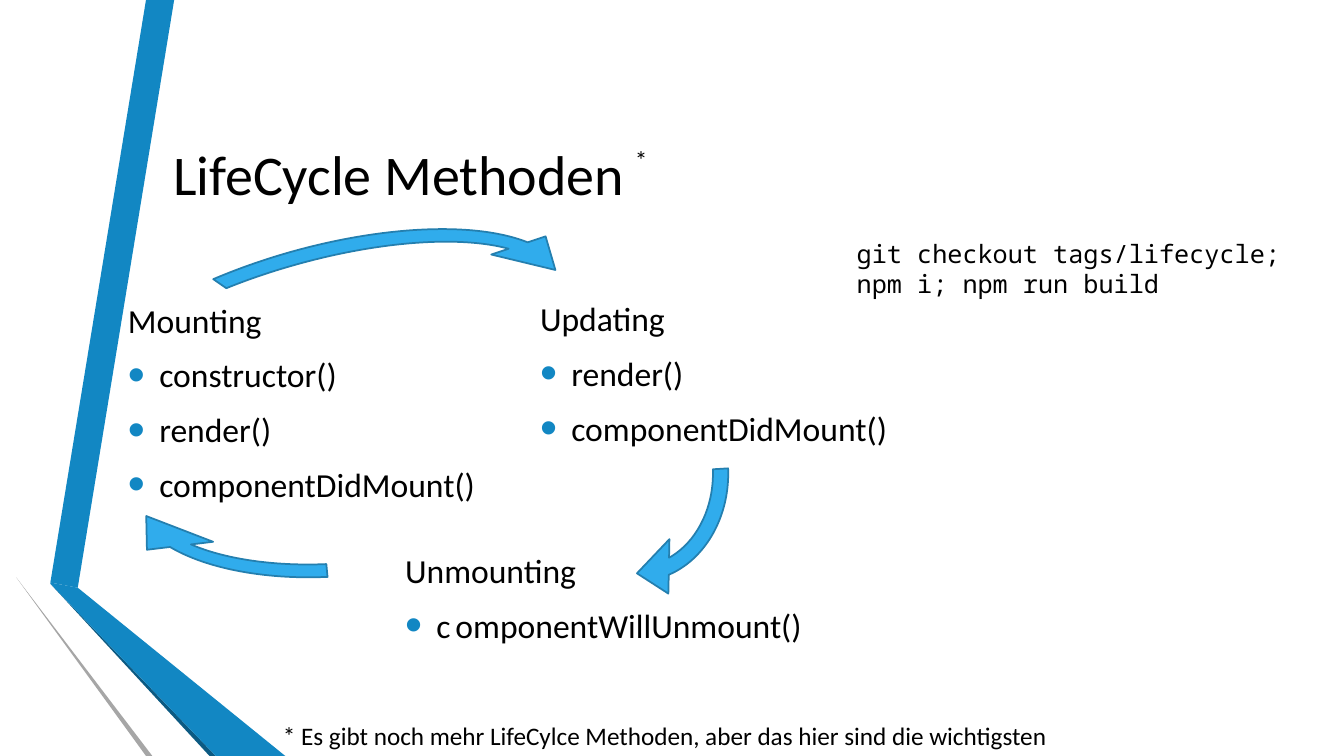
from dataclasses import dataclass

from lxml.etree import SubElement
from pptx import Presentation
from pptx.dml.color import RGBColor
from pptx.enum.shapes import MSO_SHAPE as Shape
from pptx.enum.text import MSO_ANCHOR as Anchor, MSO_AUTO_SIZE as AutoSize, PP_ALIGN as Align
from pptx.oxml.ns import qn
from pptx.util import Cm, Pt

BLACK, BLUE, NAVY, GREY = "000000", "1287C3", "0C5A82", "A6A6A6"
ARROW_FILL, ARROW_LINE = "30ACEC", "247FAF"
BODY_FONT, CODE_FONT = "Calibri", "Noto Sans Mono"


@dataclass
class Box:
    """A rectangle in centimetres."""
    left: float
    top: float
    width: float
    height: float

    def inner(self, left, top, width, height):
        return Box(self.left + left, self.top + top, width, height)

    def lengths(self):
        return Cm(self.left), Cm(self.top), Cm(self.width), Cm(self.height)


def color(value):
    return RGBColor.from_string(value)


def move(shape, box):
    shape.left, shape.top, shape.width, shape.height = box.lengths()


def format_runs(para, size, font=BODY_FONT):
    for span in para.runs:
        span.font.size = Pt(size)
        span.font.name = font
        span.font.color.rgb = color(BLACK)


def set_marker(para, bulleted):
    """Give the paragraph a round blue bullet, or none and no indent."""
    props = para._p.get_or_add_pPr()
    indent = Cm(0.79) if bulleted else 0
    props.set("marL", str(indent))
    props.set("indent", str(-indent))
    if not bulleted:
        SubElement(props, qn("a:buNone"))
        return
    tint = SubElement(props, qn("a:buClr"))
    SubElement(tint, qn("a:srgbClr"), val=BLUE)
    SubElement(props, qn("a:buSzPct"), val="145000")
    SubElement(props, qn("a:buFont"), typeface="Arial")
    SubElement(props, qn("a:buChar"), char="•")


def draw_ribbon(slide, box):
    """Draw the folded ribbon on the left edge, behind the text."""
    pieces = [
        (BLUE, [(0.86, 14.68), (1.55, 14.81), (3.98, 0), (3.27, 0)]),
        (GREY, [(0, 14.55), (3.27, 19.05), (3.43, 19.05)]),
        (NAVY, [(0.86, 14.71), (4.87, 19.05), (5.03, 19.05)]),
        (BLUE, [(0.86, 14.71), (5.03, 19.05), (6.78, 19.05), (1.55, 14.81), (0.86, 14.68)]),
    ]
    for index, (fill, corners) in enumerate(pieces):
        points = [(Cm(box.left + x), Cm(box.top + y)) for x, y in corners]
        builder = slide.shapes.build_freeform(*points[0])
        builder.add_line_segments(points[1:])
        piece = builder.convert_to_shape()
        piece.shadow.inherit = False
        piece.fill.solid()
        piece.fill.fore_color.rgb = color(fill)
        piece.line.fill.background()
        slide.shapes._spTree.insert(2 + index, piece._element)


def add_text(slide, box, text, font=BODY_FONT):
    shape = slide.shapes.add_textbox(*box.lengths())
    frame = shape.text_frame
    frame.word_wrap = True
    frame.text = text
    format_runs(frame.paragraphs[0], 18, font)


def place_title(slide, box):
    title = slide.shapes.title
    move(title, box)
    frame = title.text_frame
    frame.text = "LifeCycle Methoden"
    frame.auto_size = AutoSize.NONE
    frame.vertical_anchor = Anchor.MIDDLE
    para = frame.paragraphs[0]
    para.alignment = Align.LEFT
    format_runs(para, 40)
    add_text(slide, box.inner(11.64, 1.6, 0.86, 1.02), "*")


def fill_phase(shape, phase, methods):
    """Write a phase name followed by its bulleted methods."""
    frame = shape.text_frame
    frame.word_wrap = True
    frame.auto_size = AutoSize.NONE
    frame.vertical_anchor = Anchor.TOP
    for index, text in enumerate([phase, *methods]):
        para = frame.add_paragraph() if index else frame.paragraphs[0]
        para.text = text
        set_marker(para, bulleted=index > 0)
        para.space_before = Pt(4.3 if index else 0)
        para.space_after = Pt(6)
        format_runs(para, 24)


def add_arrow(slide, box, rotation, adjustments):
    arrow = slide.shapes.add_shape(Shape.CIRCULAR_ARROW, *box.lengths())
    arrow.rotation = rotation
    for index, value in enumerate(adjustments):
        arrow.adjustments[index] = value
    arrow.shadow.inherit = False
    arrow.fill.solid()
    arrow.fill.fore_color.rgb = color(ARROW_FILL)
    arrow.line.color.rgb = color(ARROW_LINE)
    arrow.line.width = Pt(1.25)


def draw_cycle(slide, box):
    """Place the three phases and the arrows that join them."""
    mounting = slide.placeholders[1]
    move(mounting, box.inner(0, 1.7, 10.16, 8.69))
    fill_phase(mounting, "Mounting", ["constructor()", "render()", "componentDidMount()"])

    updating = slide.shapes.add_textbox(*box.inner(10.39, 1.67, 10.16, 8.69).lengths())
    fill_phase(updating, "Updating", ["render()", "componentDidMount()"])

    unmounting = slide.shapes.add_textbox(*box.inner(6.99, 8.02, 11.86, 7.7).lengths())
    fill_phase(unmounting, "Unmounting", ["c\tomponentWillUnmount()"])

    arrows = [
        ((9.93, 3.47, 6.4, 5.49), 90, (0.07, 11.42, 205.25, 159.99, 0.125)),
        ((-2.13, 0, 14.25, 6.22), 344, (0.055, 5.31, 209.16, 138.43, 0.116)),
        ((-0.23, 4.01, 10.64, 5.49), 178, (0.059, 7.83, 205.25, 159.99, 0.153)),
    ]
    for place, rotation, adjustments in arrows:
        add_arrow(slide, box.inner(*place), rotation, adjustments)


def main():
    deck = Presentation()
    deck.slide_width, deck.slide_height = Cm(33.87), Cm(19.05)
    slide = deck.slides.add_slide(deck.slide_layouts[1])
    draw_ribbon(slide, Box(0.41, 0, 6.78, 19.05))
    place_title(slide, Box(4.11, 1.91, 27.84, 4.88))
    draw_cycle(slide, Box(2.97, 5.72, 20.55, 15.72))
    add_text(slide, Box(6.88, 18.03, 20.22, 1.02),
             "* Es gibt noch mehr LifeCylce Methoden, aber das hier sind die wichtigsten")
    add_text(slide, Box(21.34, 5.87, 11.53, 1.8),
             "git checkout tags/lifecycle; npm i; npm run build", CODE_FONT)
    deck.save("out.pptx")


if __name__ == "__main__":
    main()
